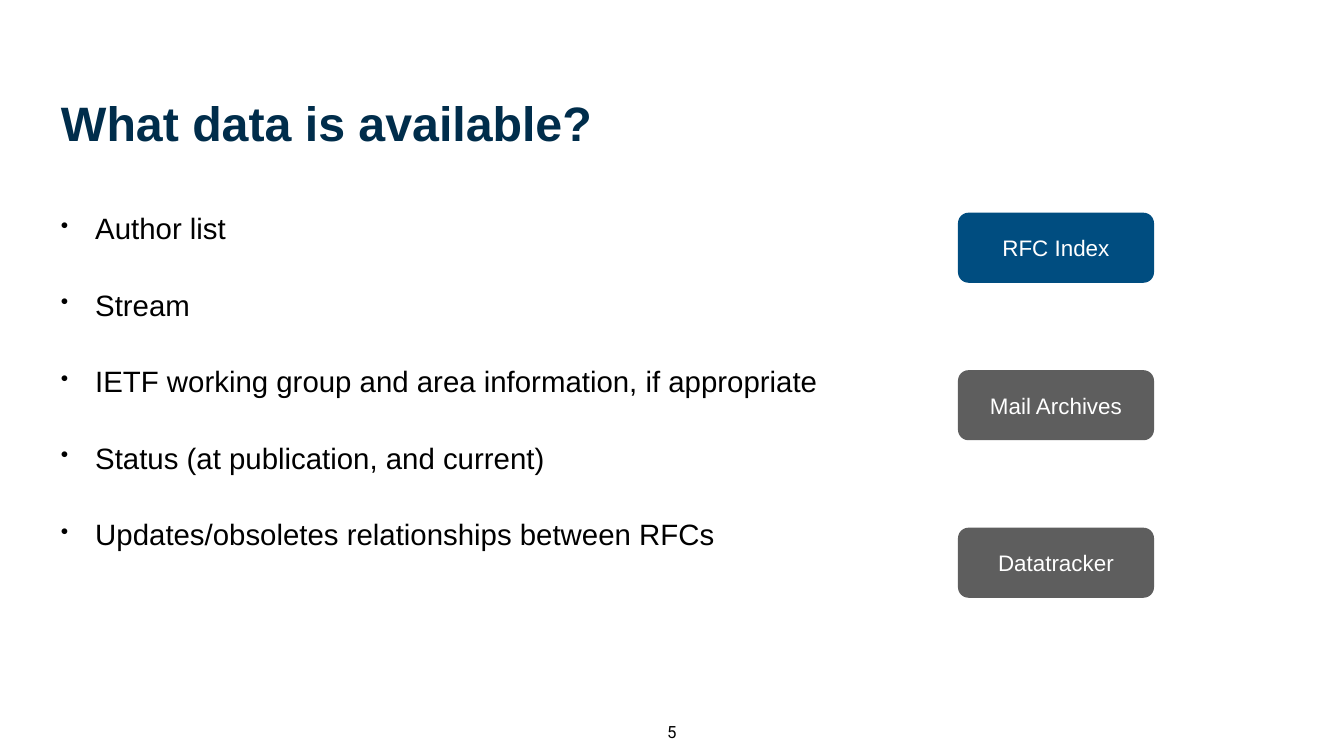
from lxml import etree
from pptx import Presentation, util as u
from pptx.dml.color import RGBColor
from pptx.enum import shapes, text
from pptx.oxml.ns import qn

COLOURS = {"navy": "002D4B", "blue": "004D80", "grey": "5E5E5E",
           "white": "FFFFFF", "black": "000000"}
HEADING = "What data is available?"
FACTS = [
    "Author list",
    "Stream",
    "IETF working group and area information, if appropriate",
    "Status (at publication, and current)",
    "Updates/obsoletes relationships between RFCs",
]
SOURCES = [("RFC Index", "blue"), ("Mail Archives", "grey"), ("Datatracker", "grey")]
PAGE = "5"

WIDTH, HEIGHT = 26.67, 15
MARGIN = 1.13
SOURCE_LEFT, SOURCE_TOP, SOURCE_STEP = 19.01, 4.22, 3.125
SOURCE_SIZE = (3.89, 1.39)
INDENT = 0.68

FORMATS = {
    "heading": {"size": u.Pt(69), "name": "Arial", "bold": True},
    "fact": {"size": u.Pt(42), "name": "Arial"},
    "source": {"size": u.Pt(32), "name": "Arial"},
    "page": {"size": u.Pt(24), "name": "Roboto"},
}


def inches(*lengths):
    return [u.Inches(length) for length in lengths]


def write(holder, lines, role, colour, align="LEFT", anchor="TOP", inset=0.08, wrap=True):
    frame = holder.text_frame
    frame.text = "\n".join(lines)
    layout = {"word_wrap": wrap, "vertical_anchor": getattr(text.MSO_ANCHOR, anchor)}
    layout.update({f"margin_{side}": u.Inches(inset)
                   for side in ("left", "top", "right", "bottom")})
    for key, value in layout.items():
        setattr(frame, key, value)
    for paragraph in frame.paragraphs:
        paragraph.alignment = getattr(text.PP_ALIGN, align)
        font = paragraph.runs[0].font
        for key, value in FORMATS[role].items():
            setattr(font, key, value)
        font.color.rgb = RGBColor.from_string(COLOURS[colour])
    return frame


def add_bullet(paragraph):
    paragraph.space_before = u.Pt(59)
    properties = paragraph._p.get_or_add_pPr()
    properties.set("marL", str(u.Inches(INDENT)))
    properties.set("indent", str(-u.Inches(INDENT)))
    etree.SubElement(properties, qn("a:buSzPct"), val="75000")
    etree.SubElement(properties, qn("a:buChar"), char="•")


def add_source(slide, row, label, colour):
    source = slide.shapes.add_shape(
        shapes.MSO_SHAPE.ROUNDED_RECTANGLE,
        *inches(SOURCE_LEFT, SOURCE_TOP + row * SOURCE_STEP, *SOURCE_SIZE))
    source.adjustments[0] = 0.15
    source.shadow.inherit = False
    source.fill.solid()
    source.fill.fore_color.rgb = RGBColor.from_string(COLOURS[colour])
    source.line.fill.background()
    write(source, [label], "source", "white", "CENTER", "MIDDLE", 0.06)


def main():
    deck = Presentation()
    deck.slide_width, deck.slide_height = inches(WIDTH, HEIGHT)
    slide = deck.slides.add_slide(deck.slide_layouts[6])

    heading = slide.shapes.add_textbox(*inches(MARGIN, 0.77, 24.39, 3.32))
    write(heading, [HEADING], "heading", "navy", anchor="MIDDLE")

    page = slide.shapes.add_textbox(*inches(13.15, 14.23, 0.36, 0.56))
    write(page, [PAGE], "page", "black", "CENTER", wrap=False)

    for row, (label, colour) in enumerate(SOURCES):
        add_source(slide, row, label, colour)

    facts = slide.shapes.add_textbox(*inches(MARGIN, 4.09, 15.51, 9.67))
    for paragraph in write(facts, FACTS, "fact", "black").paragraphs:
        add_bullet(paragraph)

    deck.save("out.pptx")


if __name__ == "__main__":
    main()
